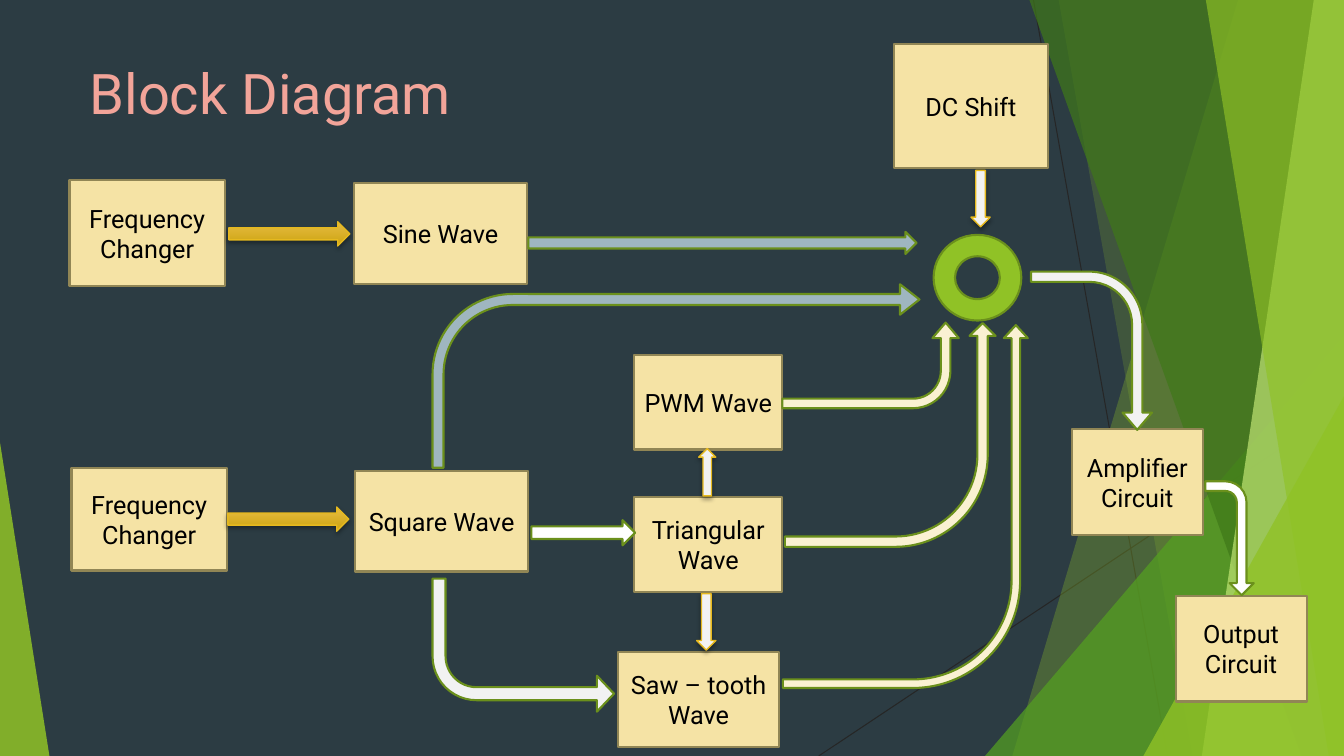
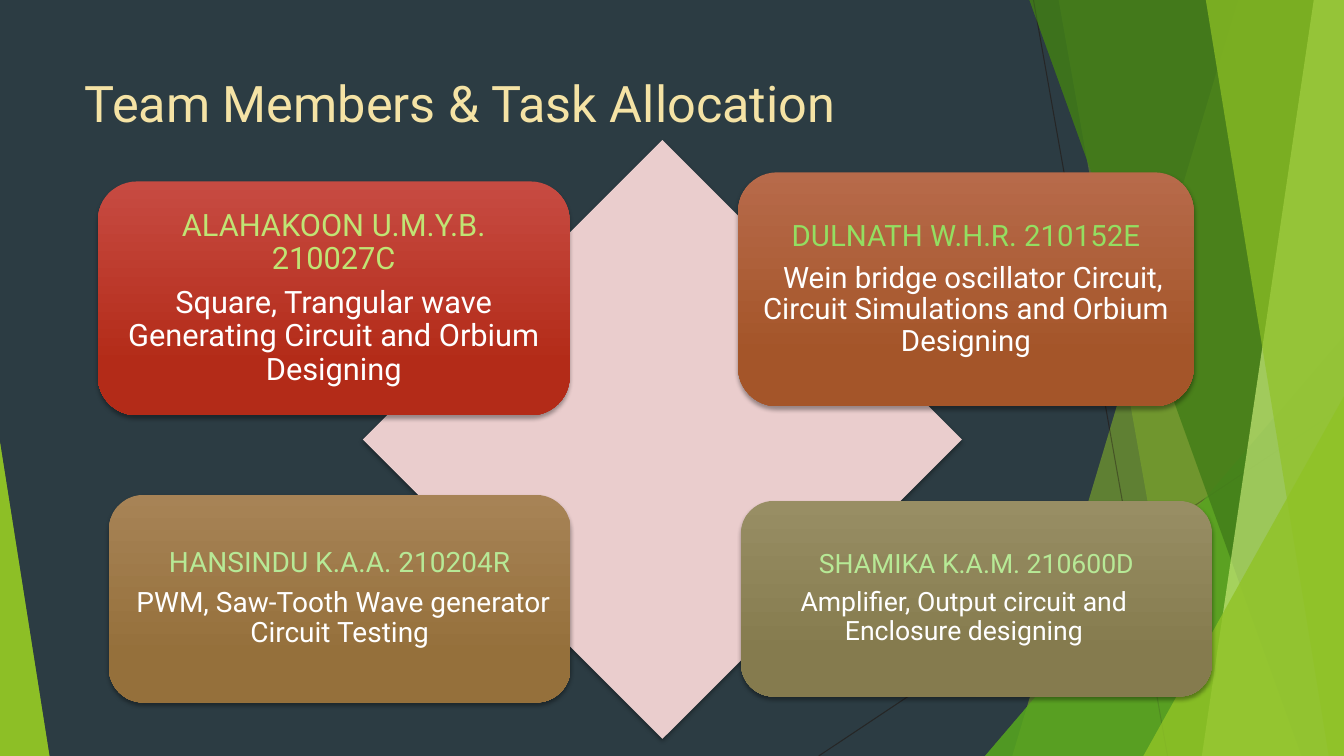
from pptx import Presentation
from pptx.dml.color import RGBColor as RGB
from pptx.enum.shapes import MSO_CONNECTOR as LINK, MSO_SHAPE as KIND
from pptx.enum.text import MSO_ANCHOR as ANCHOR, PP_ALIGN as ALIGN
from pptx.oxml.ns import qn
from pptx.util import Inches, Pt
from lxml.etree import SubElement

WIDE, HIGH = 13.33, 7.5
FONT = "Roboto"
NIGHT = RGB(0x2C, 0x3C, 0x43)
INK = RGB(0x26, 0x26, 0x26)
BLACK = RGB(0, 0, 0)
WHITE = RGB(0xFF, 0xFF, 0xFF)
SNOW = RGB(0xF2, 0xF2, 0xF2)
SALMON = RGB(0xF2, 0xA4, 0x99)
SAND = RGB(0xF5, 0xE3, 0xA5)
CREAM = RGB(0xFA, 0xF1, 0xD2)
OLIVE = RGB(0x91, 0x86, 0x55)
SLATE = RGB(0x9F, 0xB6, 0xC0)
MOSS = RGB(0x6B, 0x90, 0x1C)
GOLD = RGB(0xE6, 0xB9, 0x1E)
LIME = RGB(0x90, 0xC2, 0x26)
LEAF = RGB(0x54, 0xA0, 0x21)
PINE = RGB(0x3F, 0x78, 0x19)
PALE = RGB(0xC0, 0xE4, 0x74)
MINT = RGB(0xB7, 0xE9, 0x96)
SPRING = RGB(0x94, 0xDE, 0x61)
BLUSH = RGB(0xEA, 0xCD, 0xCD)
AMBER = (RGB(0xE7, 0xBC, 0x43), RGB(0xD2, 0xA9, 0x1B))
RED = (RGB(0xC7, 0x4B, 0x42), RGB(0xB3, 0x2B, 0x18))
RUST = (RGB(0xB7, 0x6A, 0x4A), RGB(0xA4, 0x55, 0x29))
BROWN = (RGB(0xA7, 0x83, 0x56), RGB(0x95, 0x70, 0x3B))
KHAKI = (RGB(0x98, 0x8E, 0x64), RGB(0x85, 0x7B, 0x4E))

FACETS = [
    ("quad", (12.28, 10.04), LIME, 30),
    ("quad", (10.5, 11.83), LIME, 20),
    (1, (9.77, 3.33, 3.56, 4.17), LEAF, 72),
    ("quad", (10.21, 12.91), PINE, 70),
    ("quad", (13.03, 11.92), PALE, 70),
    ("quad", (11.96, 13.18), LIME, 65),
    (1, (11.34, 3.93, 1.99, 3.57), LIME, 80),
    (0, (0, 4.39, 0.49, 3.11), LIME, 85),
]
BLOCKS = [
    ("Sine Wave", (3.51, 1.82, 1.72, 1)),
    ("Triangular Wave", (6.29, 4.93, 1.47, 0.94)),
    ("Saw – tooth Wave", (6.13, 6.47, 1.6, 0.94)),
    ("Square Wave", (3.52, 4.67, 1.72, 1)),
    ("Frequency Changer", (0.69, 1.79, 1.54, 1.05)),
    ("Frequency Changer", (0.71, 4.64, 1.54, 1.02)),
    ("PWM Wave", (6.29, 3.52, 1.47, 0.94)),
    ("DC Shift", (8.87, 0.44, 1.52, 1.23)),
    ("Amplifier Circuit", (10.63, 4.26, 1.3, 1.05)),
    ("Output Circuit", (11.66, 5.91, 1.3, 1.05)),
]
BENDS = [
    ((4.29, 5.74, 1.8, 1.32), SNOW, 0, "flipV", (0.098, 0.135, 0.128, 0.331)),
    ((4.29, 2.82, 4.83, 1.82), SLATE, 0, None, (0.06, 0.083, 0.106, 0.438)),
    ((8.21, 2.75, 0.85, 1.75), CREAM, 90, "flipH", (0.112, 0.154, 0.181, 0.438)),
    ((7.72, 3.27, 2.22, 2.09), CREAM, 270, "flipV", (0.049, 0.062, 0.061, 0.438)),
    ((7.18, 3.81, 3.6, 2.43), CREAM, 90, "flipH", (0.035, 0.049, 0.053, 0.438)),
    ((10.04, 2.88, 1.57, 1.2), SNOW, 90, None, (0.085, 0.122, 0.143, 0.438)),
    ((11.63, 5.1, 1.13, 0.48), WHITE, 90, None, (0.201, 0.25, 0.25, 0.438)),
]
FLOWS = [
    (KIND.RIGHT_ARROW, (5.27, 5.16, 1.03, 0.25), WHITE),
    (KIND.RIGHT_ARROW, (5.24, 2.3, 3.85, 0.22), SLATE),
    (KIND.DONUT, (9.26, 2.33, 0.87, 0.85), LIME),
]
GLOWS = [
    (KIND.RIGHT_ARROW, (2.26, 5.03, 1.2, 0.24), AMBER),
    (KIND.RIGHT_ARROW, (2.27, 2.2, 1.2, 0.24), AMBER),
    (KIND.UP_ARROW, (6.93, 4.45, 0.17, 0.47), SNOW),
    (KIND.DOWN_ARROW, (6.91, 5.89, 0.19, 0.56), SNOW),
    (KIND.DOWN_ARROW, (9.63, 1.69, 0.19, 0.56), SNOW),
]
CARDS = [
    ((0.97, 1.8, 4.68, 2.32), RED, 22, PALE, "ALAHAKOON U.M.Y.B.\v210027C",
     "Square, Trangular wave Generating Circuit and Orbium Designing", 0, 0),
    ((7.32, 1.71, 4.52, 2.32), RUST, 21, SPRING, "DULNATH W.H.R. 210152E",
     "Wein bridge oscillator Circuit, Circuit Simulations and Orbium Designing", 0.14, 0),
    ((1.08, 4.91, 4.58, 2.06), BROWN, 20, MINT, "HANSINDU K.A.A. 210204R",
     "PWM, Saw-Tooth Wave generator Circuit Testing", 0.07, 0),
    ((7.35, 4.97, 4.67, 1.94), KHAKI, 19, MINT, "SHAMIKA K.A.M. 210600D",
     "Amplifier, Output circuit and\vEnclosure designing", 0, 0.25),
]


def put(item, **looks):
    """Set each named attribute on the item."""
    for name, value in looks.items():
        setattr(item, name, value)


def paint(shape, fill, edge=None, thick=1.5, glow=False):
    """Give a shape its fill, outline and shadow."""
    if isinstance(fill, RGB):
        shape.fill.solid()
        shape.fill.fore_color.rgb = fill
    else:
        shape.fill.gradient()
        shape.fill.gradient_angle = 270
        for stop, tone, place in zip(shape.fill.gradient_stops, fill, (0, 0.78)):
            stop.color.rgb = tone
            stop.position = place
    if edge is None:
        shape.line.fill.background()
    else:
        shape.line.color.rgb = edge
        shape.line.width = Pt(thick)
    shape.shadow.inherit = False
    if glow:
        fx = shape._element.spPr.find(qn("a:effectLst"))
        cast = SubElement(fx, qn("a:outerShdw"), blurRad=str(Pt(3)), dist=str(Pt(2)),
                          dir="5400000", algn="ctr", rotWithShape="0")
        tone = SubElement(cast, qn("a:srgbClr"), val="000000")
        SubElement(tone, qn("a:alpha"), val="35000")


def draw(slide, kind, box, fill, **looks):
    """Add a painted preset shape in the box."""
    shape = slide.shapes.add_shape(kind, *map(Inches, box))
    paint(shape, fill, **looks)
    return shape


def write(para, text, size, tone, **looks):
    """Fill a paragraph with styled text."""
    para.text = text
    put(para, **looks)
    put(para.font, name=FONT, size=Pt(size))
    para.font.color.rgb = tone


def title(slide, box, text, size, tone):
    """Add the slide title in the box."""
    frame = slide.shapes.add_textbox(*map(Inches, box)).text_frame
    frame.word_wrap = True
    write(frame.paragraphs[0], text, size, tone)


def strokes(slide):
    """Draw the two thin lines behind the facets."""
    for ends in ((10.25, 0, 11.58, HIGH), (WIDE, 4.03, 8.12, HIGH)):
        line = slide.shapes.add_connector(LINK.STRAIGHT, *map(Inches, ends))
        line.line.color.rgb = INK
        line.line.width = Pt(0.75)
        SubElement(line._element.spPr, qn("a:effectLst"))


def facets(slide):
    """Draw the translucent green facets at the slide edges."""
    for form, place, tone, alpha in FACETS:
        if form == "quad":
            top, base = map(Inches, place)
            pen = slide.shapes.build_freeform(top, 0, scale=1.0)
            right, foot = Inches(WIDE), Inches(HIGH)
            pen.add_line_segments([(right, 0), (right, foot), (base, foot)])
            shape = pen.convert_to_shape()
            paint(shape, tone)
        else:
            shape = draw(slide, KIND.ISOSCELES_TRIANGLE, place, tone)
            shape.adjustments[0] = form
        mark = shape._element.spPr.find(qn("a:solidFill"))[0]
        SubElement(mark, qn("a:alpha"), val=str(alpha * 1000))


def block(slide, box, text):
    """Add one labelled block of the diagram."""
    shape = draw(slide, KIND.RECTANGLE, box, SAND, edge=OLIVE)
    put(shape.text_frame, word_wrap=True, vertical_anchor=ANCHOR.MIDDLE)
    write(shape.text_frame.paragraphs[0], text, 18, BLACK, alignment=ALIGN.CENTER)


def bend(slide, box, fill, turn, flip, sizes):
    """Add one bent arrow, turned and flipped as asked."""
    shape = draw(slide, KIND.BENT_ARROW, box, fill, edge=MOSS)
    shape.rotation = turn
    for spot, size in enumerate(sizes):
        shape.adjustments[spot] = size
    if flip:
        shape._element.spPr.find(qn("a:xfrm")).set(flip, "1")


def card(slide, box, fill, size, tone, name, task, first, right):
    """Add one rounded card with a member and a task."""
    shape = draw(slide, KIND.ROUNDED_RECTANGLE, box, fill, glow=True)
    frame = shape.text_frame
    pad = Inches(0.09)
    put(frame, word_wrap=True, vertical_anchor=ANCHOR.MIDDLE, margin_left=pad,
        margin_right=pad, margin_top=pad, margin_bottom=pad)
    looks = dict(alignment=ALIGN.CENTER, line_spacing=0.9, space_after=Pt(size * 0.35))
    write(frame.paragraphs[0], name, size, tone, **looks)
    body = frame.add_paragraph()
    write(body, task, size, WHITE, **looks)
    props = body._p.get_or_add_pPr()
    for key, gap in (("indent", first), ("marR", right)):
        props.set(key, str(Inches(gap)))


def diagram(slide):
    """Build the block diagram slide."""
    strokes(slide)
    facets(slide)
    title(slide, (0.79, 0.53, 5.49, 0.77), "Block Diagram", 40, SALMON)
    for text, box in BLOCKS:
        block(slide, box, text)
    for parts in BENDS:
        bend(slide, *parts)
    for kind, box, fill in FLOWS:
        draw(slide, kind, box, fill, edge=MOSS)
    for kind, box, fill in GLOWS:
        draw(slide, kind, box, fill, edge=GOLD, thick=1, glow=True)


def team(slide):
    """Build the team slide with four cards on a diamond."""
    facets(slide)
    strokes(slide)
    facets(slide)
    title(slide, (0.74, 0.67, 9.4, 1.44), "Team Members & Task Allocation", 36, SAND)
    draw(slide, KIND.DIAMOND, (3.6, 1.39, 5.94, 5.94), BLUSH, glow=True)
    for parts in CARDS:
        card(slide, *parts)


def main():
    """Build and save the deck."""
    deck = Presentation()
    put(deck, slide_width=Inches(WIDE), slide_height=Inches(HIGH))
    back = deck.slide_master.background.fill
    back.solid()
    back.fore_color.rgb = NIGHT
    for build in (diagram, team):
        build(deck.slides.add_slide(deck.slide_layouts[6]))
    deck.save("out.pptx")


if __name__ == "__main__":
    main()
